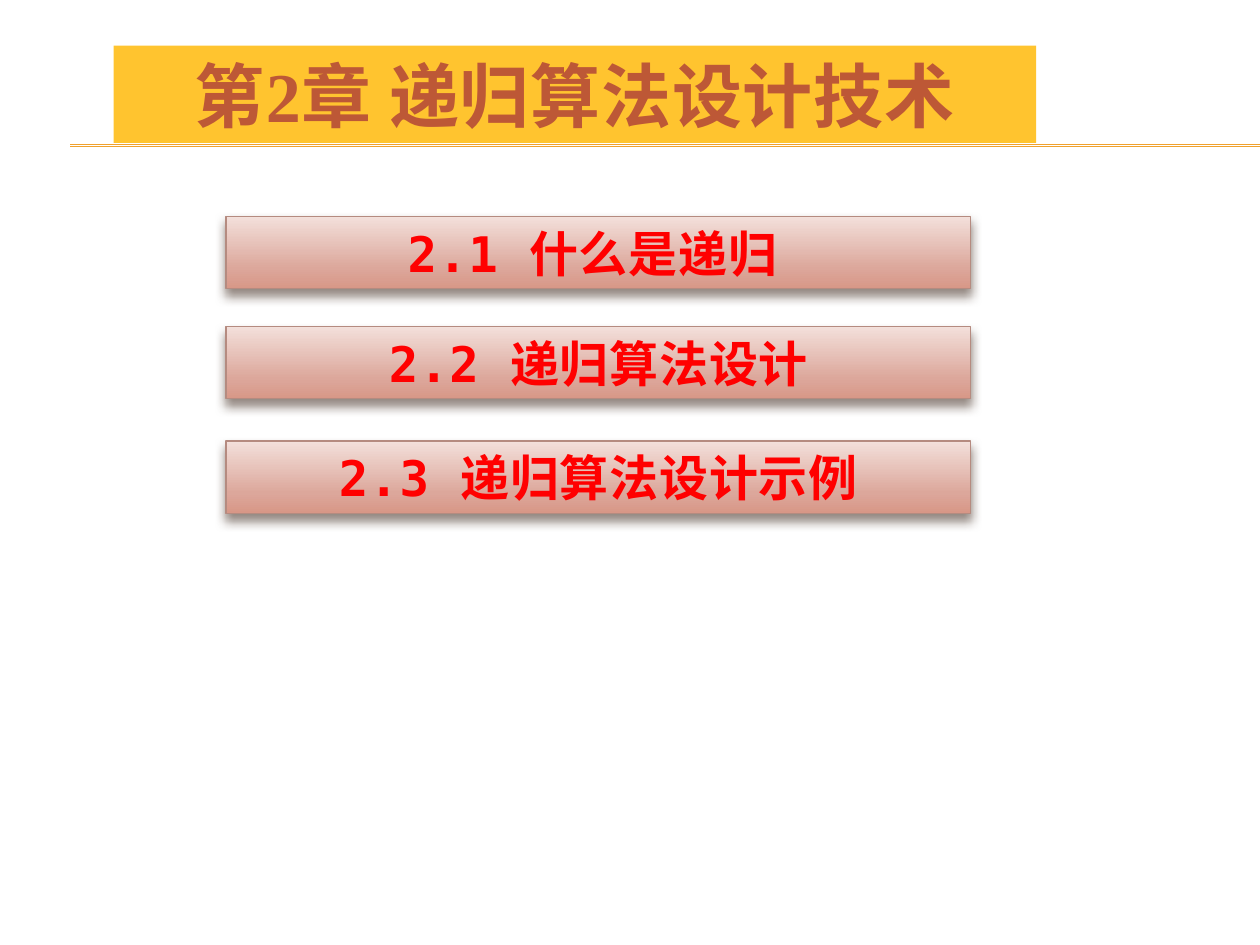
from dataclasses import dataclass

from lxml import etree
from pptx import Presentation
from pptx.dml.color import RGBColor
from pptx.enum.shapes import MSO_CONNECTOR, MSO_SHAPE
from pptx.enum.text import MSO_ANCHOR, MSO_AUTO_SIZE, PP_ALIGN
from pptx.oxml.ns import qn
from pptx.util import Cm, Pt

RECTANGLE = MSO_SHAPE.RECTANGLE
STRAIGHT = MSO_CONNECTOR.STRAIGHT
CENTER = PP_ALIGN.CENTER
MIDDLE = MSO_ANCHOR.MIDDLE
NO_AUTOFIT = MSO_AUTO_SIZE.NONE
TITLE_ONLY_LAYOUT = 5

SLIDE_WIDTH = Cm(25.4)
SLIDE_HEIGHT = Cm(19.05)
BAR_GRADIENT = ((0, "F3E0DB"), (72, "DCA79B"), (100, "D89787"))


@dataclass(frozen=True)
class SectionBar:
    text: str
    top: float


SECTIONS = (
    SectionBar("2.1 什么是递归 ", 4.36),
    SectionBar("2.2 递归算法设计", 6.58),
    SectionBar("2.3 递归算法设计示例", 8.89),
)


def color(value: str) -> RGBColor:
    return RGBColor.from_string(value)


def add_xml(parent, tag: str, **attributes):
    return etree.SubElement(parent, qn(tag), attributes)


def set_text(shape, text: str, *, font: str, size: float, fill: str) -> None:
    frame = shape.text_frame
    frame.word_wrap = True
    frame.auto_size = NO_AUTOFIT
    frame.vertical_anchor = MIDDLE
    paragraph = frame.paragraphs[0]
    paragraph.alignment = CENTER
    run = paragraph.add_run()
    run.text = text
    run.font.name = font
    run.font.size = Pt(size)
    run.font.bold = True
    run.font.color.rgb = color(fill)
    run.font._element.set("spc", "50")


def set_gradient(shape, stops: tuple[tuple[int, str], ...]) -> None:
    shape.fill.gradient()
    shape.fill.gradient_angle = 270
    stop_list = shape._element.spPr.find(qn("a:gradFill")).find(qn("a:gsLst"))
    for stop in list(stop_list):
        stop_list.remove(stop)
    for position, value in stops:
        stop = add_xml(stop_list, "a:gs", pos=str(position * 1000))
        add_xml(stop, "a:srgbClr", val=value)


def set_shadow(shape) -> None:
    shape.shadow.inherit = False
    effects = shape._element.spPr.find(qn("a:effectLst"))
    shadow = add_xml(effects, "a:outerShdw", blurRad=str(Pt(6)), dist=str(Pt(4)),
                     dir="5400000", algn="ctr", rotWithShape="0")
    shadow_color = add_xml(shadow, "a:srgbClr", val="4E3B30")
    add_xml(shadow_color, "a:alpha", val="60000")


def add_rule(slide, top: float) -> None:
    rule = slide.shapes.add_connector(STRAIGHT, Cm(1.42), Cm(top), SLIDE_WIDTH, Cm(top))
    rule.line.color.rgb = color("F0A22E")
    rule.line.width = Pt(0.75)
    add_xml(rule._element.spPr, "a:effectLst")


def add_title(slide, text: str) -> None:
    title = slide.shapes.title
    title.left, title.top, title.width, title.height = Cm(2.29), Cm(0.92), Cm(18.6), Cm(1.96)
    title.fill.solid()
    title.fill.fore_color.rgb = color("FFC42F")
    set_text(title, text, font="Times New Roman", size=40, fill="BD5836")


def add_section_bar(slide, section: SectionBar) -> None:
    bar = slide.shapes.add_shape(RECTANGLE, Cm(4.56), Cm(section.top), Cm(15.01), Cm(1.46))
    set_gradient(bar, BAR_GRADIENT)
    bar.line.color.rgb = color("B58B80")
    bar.line.width = Pt(0.79)
    set_shadow(bar)
    set_text(bar, section.text, font="DejaVu Sans Mono", size=28, fill="FF0000")


def main() -> None:
    presentation = Presentation()
    presentation.slide_width = SLIDE_WIDTH
    presentation.slide_height = SLIDE_HEIGHT
    slide = presentation.slides.add_slide(presentation.slide_layouts[TITLE_ONLY_LAYOUT])
    for top in (2.92, 2.95):
        add_rule(slide, top)
    add_title(slide, "第2章 递归算法设计技术")
    for section in SECTIONS:
        add_section_bar(slide, section)
    presentation.save("out.pptx")


if __name__ == "__main__":
    main()
